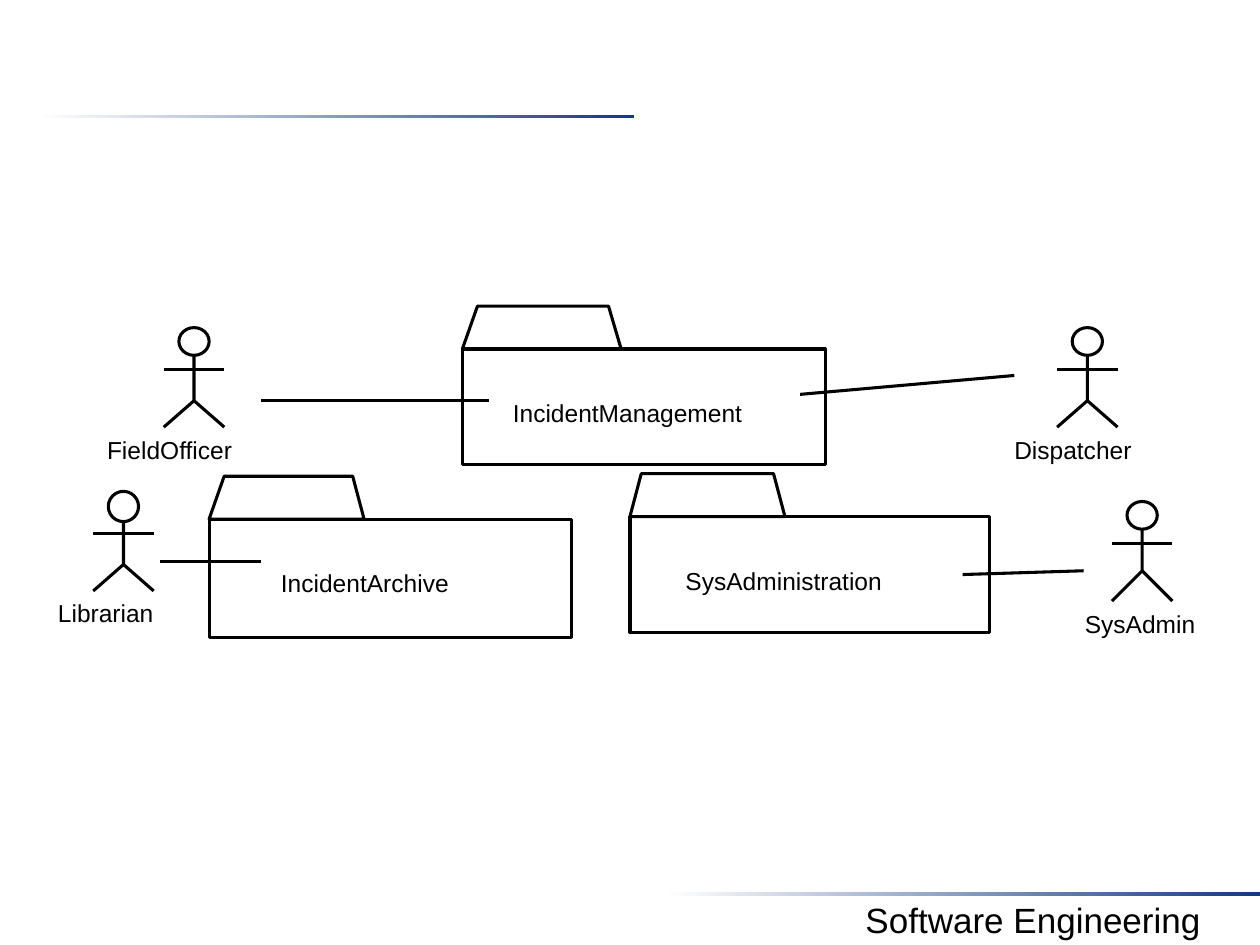
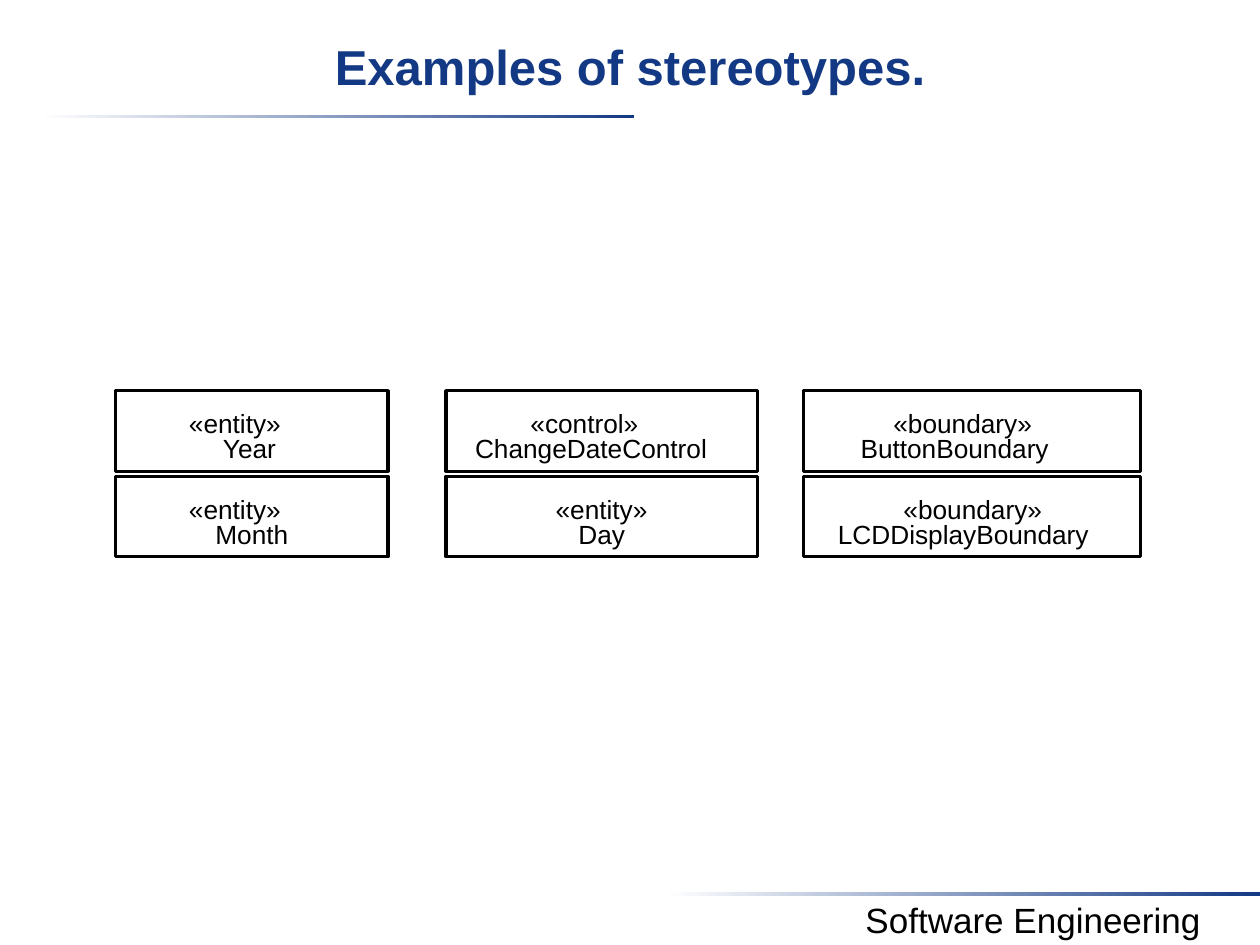
from dataclasses import dataclass

from lxml.etree import SubElement
from pptx import Presentation
from pptx.dml.color import RGBColor
from pptx.enum.shapes import MSO_CONNECTOR, MSO_SHAPE
from pptx.enum.text import MSO_ANCHOR, PP_ALIGN
from pptx.oxml.ns import qn
from pptx.util import Inches, Pt


@dataclass(frozen=True)
class Theme:
    ink: RGBColor = RGBColor(0, 0, 0)
    paper: RGBColor = RGBColor(255, 255, 255)
    navy: RGBColor = RGBColor(0x13, 0x39, 0x84)
    font: str = "Arial"
    title: Pt = Pt(28)
    footer: Pt = Pt(20)
    stereotype: Pt = Pt(15)
    label: Pt = Pt(14)
    stroke: Pt = Pt(1.75)


THEME = Theme()
COLUMNS, ROWS = 100, 75
WIDTH, HEIGHT = Inches(10), Inches(7.5)


def place(column, row):
    """Turn grid columns and rows into slide lengths."""
    return round(WIDTH * column / COLUMNS), round(HEIGHT * row / ROWS)


def assign(target, values):
    for name, value in values.items():
        setattr(target, name, value)


def outline(shape, fill=None):
    shape.shadow.inherit = False
    if fill is None:
        shape.fill.background()
    else:
        shape.fill.solid()
        shape.fill.fore_color.rgb = fill
    shape.line.color.rgb = THEME.ink
    shape.line.width = THEME.stroke


def add_figure(slide, kind, left, top, width, height, fill=None):
    figure = slide.shapes.add_shape(kind, *place(left, top), *place(width, height))
    outline(figure, fill)


def add_path(slide, points, close=False):
    start, *rest = [place(*point) for point in points]
    builder = slide.shapes.build_freeform(*start)
    builder.add_line_segments(rest, close=close)
    outline(builder.convert_to_shape())


def add_line(slide, start, end):
    line = slide.shapes.add_connector(
        MSO_CONNECTOR.STRAIGHT, *place(*start), *place(*end))
    line.line.color.rgb = THEME.ink
    line.line.width = THEME.stroke
    SubElement(line._element.spPr, qn("a:effectLst"))


def add_text(slide, text, left, top, width, height, size, margins=(0, 0, 0, 0),
             align=PP_ALIGN.LEFT, color=THEME.ink, bold=False):
    box = slide.shapes.add_textbox(*place(left, top), *place(width, height))
    sides = ("margin_left", "margin_top", "margin_right", "margin_bottom")
    assign(box.text_frame, dict(zip(sides, map(Inches, margins))))
    assign(box.text_frame, {"word_wrap": True, "vertical_anchor": MSO_ANCHOR.TOP})
    paragraph = box.text_frame.paragraphs[0]
    paragraph.alignment = align
    run = paragraph.add_run()
    run.text = text
    assign(run.font, {"name": THEME.font, "size": size, "bold": bold})
    run.font.color.rgb = color


def add_rule(slide, left, top):
    """Draw a thin band that fades in from white to navy."""
    rule = slide.shapes.add_shape(
        MSO_SHAPE.RECTANGLE, *place(left, top), *place(47.2, 0.3))
    rule.shadow.inherit = False
    rule.line.fill.background()
    rule.fill.gradient()
    rule.fill.gradient_angle = 0
    for stop, color, position in zip(
            rule.fill.gradient_stops, (THEME.paper, THEME.navy), (0, 1)):
        stop.color.rgb = color
        stop.position = position


def add_base_slide(deck, title=None):
    slide = deck.slides.add_slide(deck.slide_layouts[6])
    add_rule(slide, 3.1, 9.1)
    add_rule(slide, 52.8, 70.8)
    add_text(slide, "Software Engineering", 64, 70.8, 36, 4.4, THEME.footer,
             (0.1, 0.05, 0.1, 0.05), PP_ALIGN.CENTER)
    if title:
        add_text(slide, title, 0, 2, COLUMNS, 7.5, THEME.title,
                 (0.1, 0.09, 0.1, 0.05), PP_ALIGN.CENTER, THEME.navy, True)
    return slide


def add_actor(slide, name, center, top, name_left, name_width, hip=5.8, head=2.2):
    """Draw a stick figure around a centre column, with its name below."""
    left, right = center - 2.4, center + 2.4
    hips, feet, arms = top + hip, top + 7.9, top + 3.35
    add_path(slide, [(center, top + 1.7), (center, hips), (left, feet)])
    add_line(slide, (center, hips), (right, feet))
    add_line(slide, (left, arms), (right, arms))
    add_figure(slide, MSO_SHAPE.OVAL, center - 1.2, top, 2.4, head, THEME.paper)
    add_text(slide, name, name_left, top + 8.5, name_width, 2.3, THEME.label)


def add_package(slide, name, left, top, width, height, tab, name_indent, name_width):
    """Draw a folder; tab gives the offsets of its three slanted corners."""
    tab_start, tab_end, tab_foot = (left + offset for offset in tab)
    add_path(slide, [(left, top), (tab_start, top - 3.4), (tab_end, top - 3.4),
                     (tab_foot, top)], close=True)
    add_figure(slide, MSO_SHAPE.RECTANGLE, left, top, width, height)
    add_text(slide, name, left + name_indent, top + 3.9, name_width, 2.3, THEME.label)


def add_class(slide, left, top, width, stereotype, name):
    add_figure(slide, MSO_SHAPE.RECTANGLE, left, top, width, 6.4)
    for (text, text_left, text_width), offset in ((stereotype, 1.35), (name, 3.3)):
        add_text(slide, text, text_left, top + offset, text_width, 2.5,
                 THEME.stereotype)


def build_packages(deck):
    slide = add_base_slide(deck)
    for package in (
        ("SysAdministration", 50, 41, 28.5, 9.2, (0.9, 11.4, 12.3), 4.4, 19.8),
        ("IncidentArchive", 16.6, 41.2, 28.8, 9.4, (1.2, 11.4, 12.3), 5.7, 17.4),
        ("IncidentManagement", 36.7, 27.7, 28.8, 9.2, (1.2, 11.6, 12.6), 4, 20.9),
    ):
        add_package(slide, *package)
    for actor in (
        ("FieldOfficer", 15.4, 26, 8.5, 14),
        ("Dispatcher", 86.3, 26, 80.5, 11.6),
        ("Librarian", 9.8, 39, 4.6, 10.5, 5.8, 2.4),
        ("SysAdmin", 90.65, 39.8, 86.1, 9.3, 5.5),
    ):
        add_actor(slide, *actor)
    for start, end in (
        ((20.7, 31.8), (38.8, 31.8)),
        ((80.5, 29.8), (63.5, 31.3)),
        ((12.7, 44.6), (20.7, 44.6)),
        ((86, 45.3), (76.4, 45.6)),
    ):
        add_line(slide, start, end)


def build_stereotypes(deck):
    slide = add_base_slide(deck, "Examples of stereotypes.")
    entity, boundary = ("«entity»", 15, 10), "«boundary»"
    class_columns = (
        (9.2, 21.6, ((entity, ("Year", 17.7, 5)), (entity, ("Month", 17.1, 6.5)))),
        (35.4, 24.7, ((("«control»", 42.1, 11.2), ("ChangeDateControl", 37.7, 21.2)),
                      (("«entity»", 44.1, 10), ("Day", 45.9, 5)))),
        (63.8, 26.7, (((boundary, 70.9, 12.5), ("ButtonBoundary", 68.3, 17.5)),
                      ((boundary, 71.7, 12.5), ("LCDDisplayBoundary", 66.5, 22.5)))),
    )
    for left, width, classes in class_columns:
        for index, (stereotype, name) in enumerate(classes):
            add_class(slide, left, 31 + index * 6.8, width, stereotype, name)


def main():
    deck = Presentation()
    assign(deck, {"slide_width": WIDTH, "slide_height": HEIGHT})
    build_packages(deck)
    build_stereotypes(deck)
    deck.save("out.pptx")


if __name__ == "__main__":
    main()
